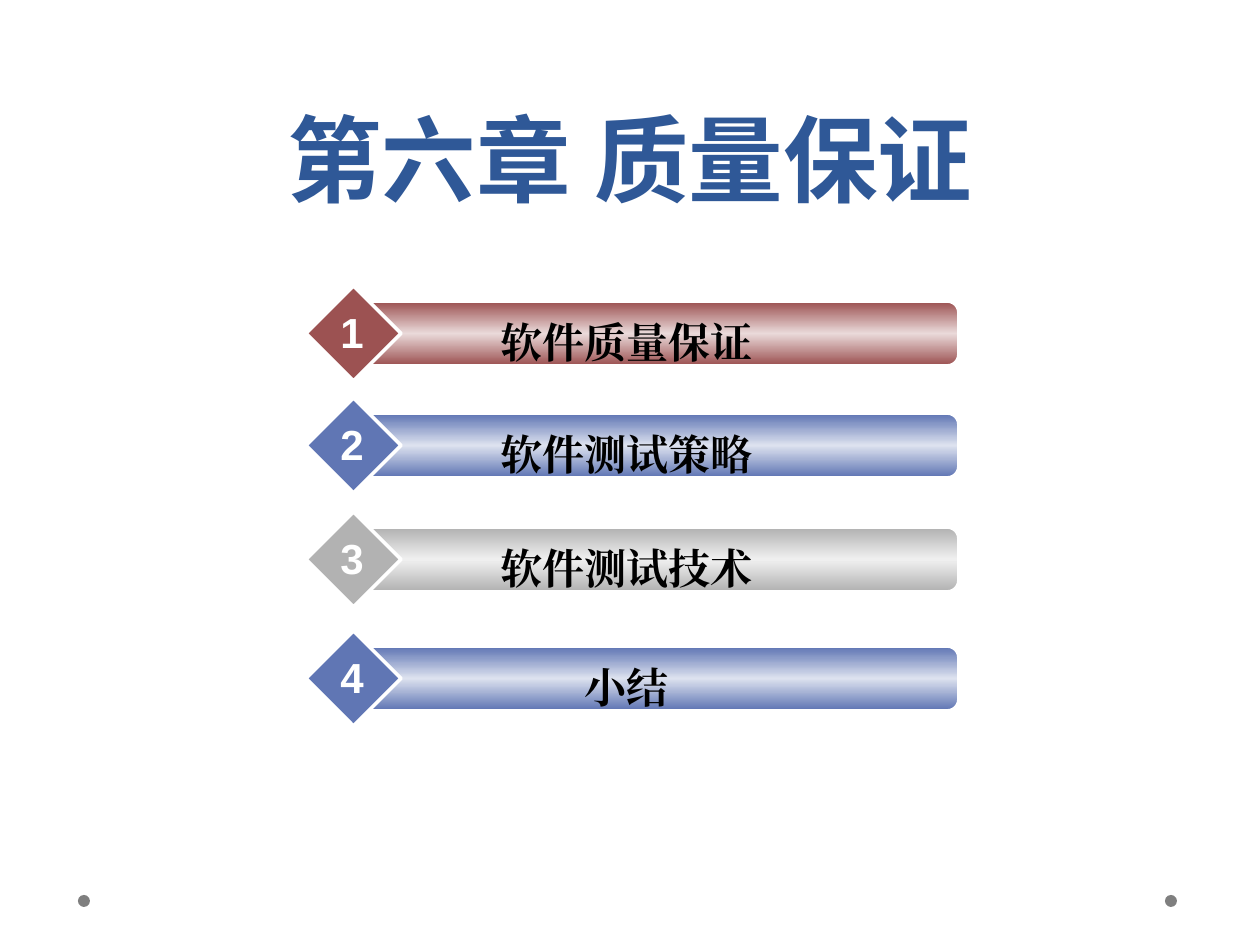
"""Build the chapter six title slide with its four numbered sections."""
from copy import deepcopy
from dataclasses import dataclass

from lxml import etree
from pptx import Presentation
from pptx.dml.color import RGBColor
from pptx.enum.shapes import MSO_SHAPE
from pptx.enum.text import MSO_ANCHOR, MSO_AUTO_SIZE, PP_ALIGN
from pptx.oxml.ns import qn
from pptx.util import Emu, Pt

ROUND_BAR = MSO_SHAPE.ROUNDED_RECTANGLE
DIAMOND = MSO_SHAPE.DIAMOND
OVAL = MSO_SHAPE.OVAL
CENTER = PP_ALIGN.CENTER
BOTTOM = MSO_ANCHOR.BOTTOM
NO_FIT = MSO_AUTO_SIZE.NONE
GROW = MSO_AUTO_SIZE.SHAPE_TO_FIT_TEXT

EMU_PER_PX = 914400 / 126
COLORS = {
    "title": "2F5897",
    "text": "000000",
    "white": "FFFFFF",
    "dot": "7F7F7F",
    "red": "9C5252",
    "red_light": "EADADA",
    "blue": "6076B4",
    "blue_light": "DDE2EF",
    "gray": "B2B2B2",
    "gray_light": "EFEFEF",
}


@dataclass(frozen=True)
class Section:
    number: int
    heading: str
    color: str
    top: int


SECTIONS = [
    Section(1, "软件质量保证", "red", 286),
    Section(2, "软件测试策略", "blue", 398),
    Section(3, "软件测试技术", "gray", 512),
    Section(4, "小结", "blue", 631),
]


def px(length: int) -> Emu:
    return Emu(round(length * EMU_PER_PX))


def box(left: int, top: int, width: int, height: int) -> tuple:
    return px(left), px(top), px(width), px(height)


def rgb(color: str) -> RGBColor:
    return RGBColor.from_string(COLORS[color])


def write(target, text: str, *, font: str, size: int, color: str,
          wrap: bool = True, fit=GROW, line_spacing=None) -> None:
    frame = target.text_frame
    frame.word_wrap = wrap
    frame.auto_size = fit
    line = frame.paragraphs[0]
    line.alignment = CENTER
    line.line_spacing = line_spacing
    run = line.add_run()
    run.text = text
    run.font.name = font
    run.font.size = Pt(size)
    run.font.bold = True
    run.font.color.rgb = rgb(color)
    etree.SubElement(run.font._element, qn("a:ea"), typeface=font)


def add_solid(shapes, kind, area: tuple, color: str, outline: int = 0):
    solid = shapes.add_shape(kind, *area)
    solid.shadow.inherit = False
    solid.fill.solid()
    solid.fill.fore_color.rgb = rgb(color)
    if outline:
        solid.line.color.rgb = rgb("white")
        solid.line.width = Pt(outline)
    else:
        solid.line.fill.background()
    return solid


def shade_bar(bar, color: str) -> None:
    bar.fill.gradient()
    bar.fill.gradient_angle = 90
    stop_list = bar._element.spPr.find(qn("a:gradFill")).find(qn("a:gsLst"))
    stop_list.insert(1, deepcopy(stop_list[0]))
    shades = (color, f"{color}_light", color)
    for stop, shade, position in zip(bar.fill.gradient_stops, shades, (0, 0.5, 1)):
        stop.color.rgb = rgb(shade)
        stop.position = position


def add_section(slide, section: Section) -> None:
    shapes = slide.shapes.add_group_shape().shapes
    top = section.top
    bar = add_solid(shapes, ROUND_BAR, box(359, top + 16, 599, 63), section.color, 1)
    bar.adjustments[0] = 0.17
    shade_bar(bar, section.color)
    add_solid(shapes, DIAMOND, box(306, top, 95, 95), section.color, 2)
    heading = shapes.add_textbox(*box(390, top + 24, 473, 63))
    write(heading, section.heading, font="Times New Roman", size=24, color="text")
    number = shapes.add_textbox(*box(328, top + 14, 47, 63))
    write(number, str(section.number), font="Arial", size=24, color="white", wrap=False)


def main() -> None:
    deck = Presentation()
    deck.slide_width, deck.slide_height = px(1260), px(945)
    slide = deck.slides.add_slide(deck.slide_layouts.get_by_name("Title Only"))
    for left in (78, 1165):
        add_solid(slide.shapes, OVAL, box(left, 895, 12, 12), "dot")
    title = slide.shapes.title
    title.left, title.top, title.width, title.height = box(63, 0, 1134, 221)
    title.text_frame.vertical_anchor = BOTTOM
    write(title, "第六章 质量保证", font="Roboto", size=54, color="title",
          fit=NO_FIT, line_spacing=Pt(58))
    for section in SECTIONS:
        add_section(slide, section)
    deck.save("out.pptx")


if __name__ == "__main__":
    main()
